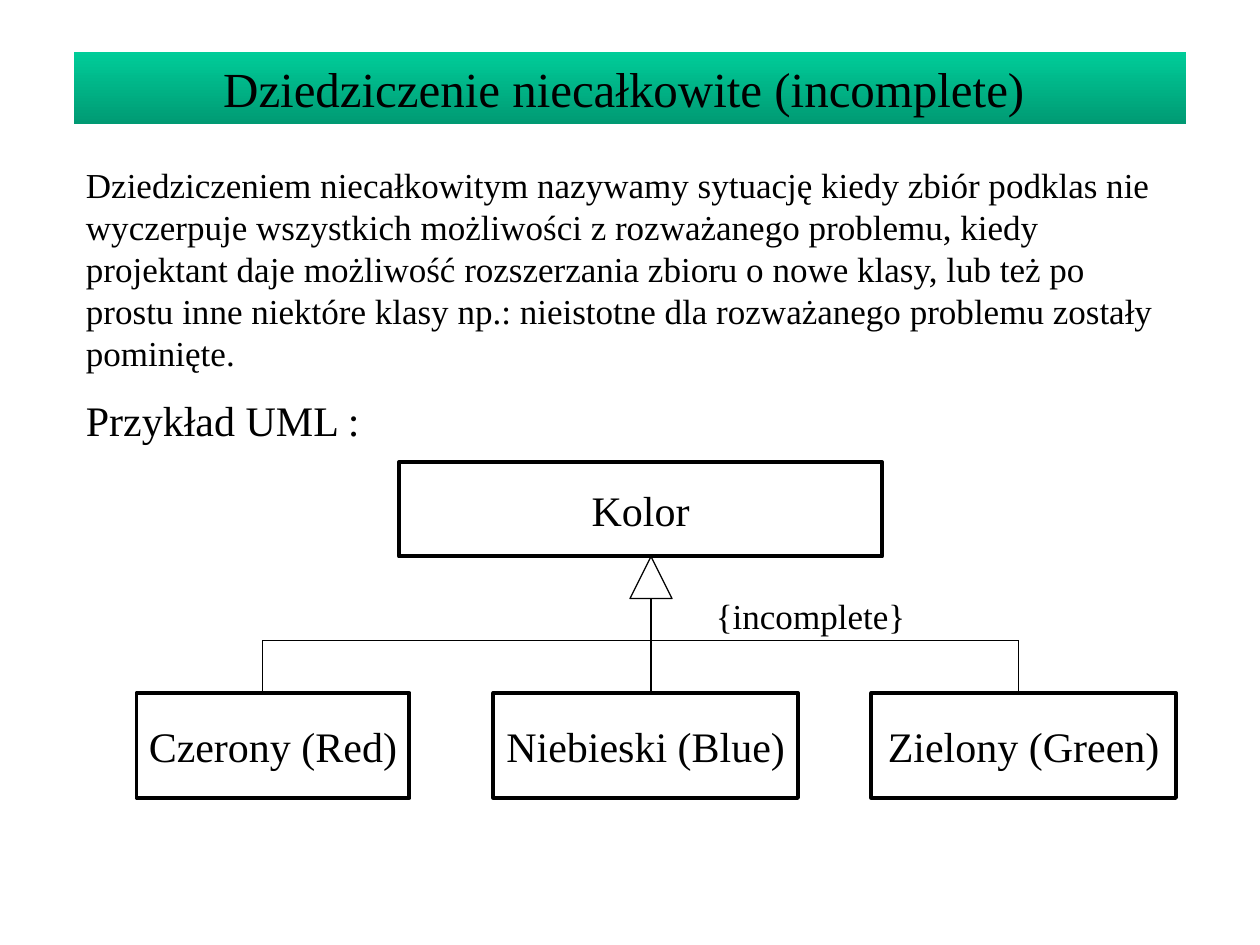
from lxml.etree import SubElement
from pptx import Presentation
from pptx.dml.color import RGBColor
from pptx.enum.shapes import MSO_CONNECTOR as Connector, MSO_SHAPE as Preset
from pptx.enum.text import MSO_ANCHOR as Anchor, MSO_AUTO_SIZE as AutoSize, PP_ALIGN as Align
from pptx.oxml.ns import qn
from pptx.util import Inches, Pt

COLUMNS, ROWS = 120, 90
WIDTH, HEIGHT = Inches(10), Inches(7.5)
FONT = "Times New Roman"
BLACK, WHITE = "000000", "FFFFFF"
MARGIN, CONTENT_WIDTH = 7, 106
BOX_TOP, BUS_ROW, TRUNK = 66, 61, 62
SUBCLASSES = [
    ("Czerony (Red)", 13, 26, 25),
    ("Niebieski (Blue)", 47, 29, TRUNK),
    ("Zielony (Green)", 83, 29, 97),
]
DEFINITION = (
    "Dziedziczeniem niecałkowitym nazywamy sytuację kiedy zbiór podklas nie "
    "wyczerpuje wszystkich możliwości z rozważanego problemu, kiedy projektant "
    "daje możliwość rozszerzania zbioru o nowe klasy, lub też po prostu inne "
    "niektóre klasy np.: nieistotne dla rozważanego problemu zostały pominięte."
)


def color(value):
    return RGBColor.from_string(value)


def across(columns):
    return round(WIDTH * columns / COLUMNS)


def down(rows):
    return round(HEIGHT * rows / ROWS)


def place(left, top, width, height):
    return across(left), down(top), across(width), down(height)


def write(shape, text, size=24, align=Align.LEFT, anchor=Anchor.TOP, wrap=True,
          auto_size=AutoSize.SHAPE_TO_FIT_TEXT):
    frame = shape.text_frame
    frame.word_wrap = wrap
    frame.auto_size = auto_size
    frame.vertical_anchor = anchor
    frame.text = text
    paragraph = frame.paragraphs[0]
    paragraph.alignment = align
    font = paragraph.runs[0].font
    font.name = FONT
    font.size = Pt(size)
    font.color.rgb = color(BLACK)


def add_text(slide, text, area, size):
    write(slide.shapes.add_textbox(*place(*area)), text, size=size)


def add_outlined(slide, preset, area, line_width):
    shape = slide.shapes.add_shape(preset, *place(*area))
    shape.shadow.inherit = False
    shape.fill.solid()
    shape.fill.fore_color.rgb = color(WHITE)
    shape.line.color.rgb = color(BLACK)
    shape.line.width = Pt(line_width)
    return shape


def add_class(slide, name, area):
    box = add_outlined(slide, Preset.RECTANGLE, area, 2.25)
    write(box, name, align=Align.CENTER, anchor=Anchor.MIDDLE, wrap=False,
          auto_size=AutoSize.NONE)


def add_line(slide, start, end):
    line = slide.shapes.add_connector(
        Connector.STRAIGHT,
        across(start[0]), down(start[1]), across(end[0]), down(end[1]))
    line.line.color.rgb = color(BLACK)
    line.line.width = Pt(0.75)
    SubElement(line._element.spPr, qn("a:effectLst"))


def add_title(slide, text, area):
    banner = slide.shapes.add_shape(Preset.RECTANGLE, *place(*area))
    banner.shadow.inherit = False
    banner.line.fill.background()
    banner.fill.gradient()
    banner.fill.gradient_angle = 270
    for stop, value in zip(banner.fill.gradient_stops, ("00CC99", "009A73")):
        stop.color.rgb = color(value)
    write(banner, text, size=28, align=Align.CENTER)


def add_hierarchy(slide):
    add_class(slide, "Kolor", (38, 44, 46, 9))
    for name, left, width, branch in SUBCLASSES:
        add_class(slide, name, (left, BOX_TOP, width, 10))
        add_line(slide, (branch, BUS_ROW), (branch, BOX_TOP))
    add_line(slide, (SUBCLASSES[0][3], BUS_ROW), (SUBCLASSES[-1][3], BUS_ROW))
    add_outlined(slide, Preset.ISOSCELES_TRIANGLE, (TRUNK - 2, 53, 4, 4), 0.75)
    add_line(slide, (TRUNK, 57), (TRUNK, BUS_ROW))
    add_text(slide, "{incomplete}", (67, 56, 26, 5.25), 20)


def main():
    presentation = Presentation()
    presentation.slide_width, presentation.slide_height = WIDTH, HEIGHT
    slide = presentation.slides.add_slide(presentation.slide_layouts[6])
    add_title(slide, "Dziedziczenie niecałkowite (incomplete) ",
              (MARGIN, 5, CONTENT_WIDTH, 6.85))
    add_text(slide, DEFINITION, (MARGIN, 15, CONTENT_WIDTH, 21.25), 20)
    add_text(slide, "Przykład UML :", (MARGIN, 37, 62, 6), 24)
    add_hierarchy(slide)
    presentation.save("out.pptx")


if __name__ == "__main__":
    main()
